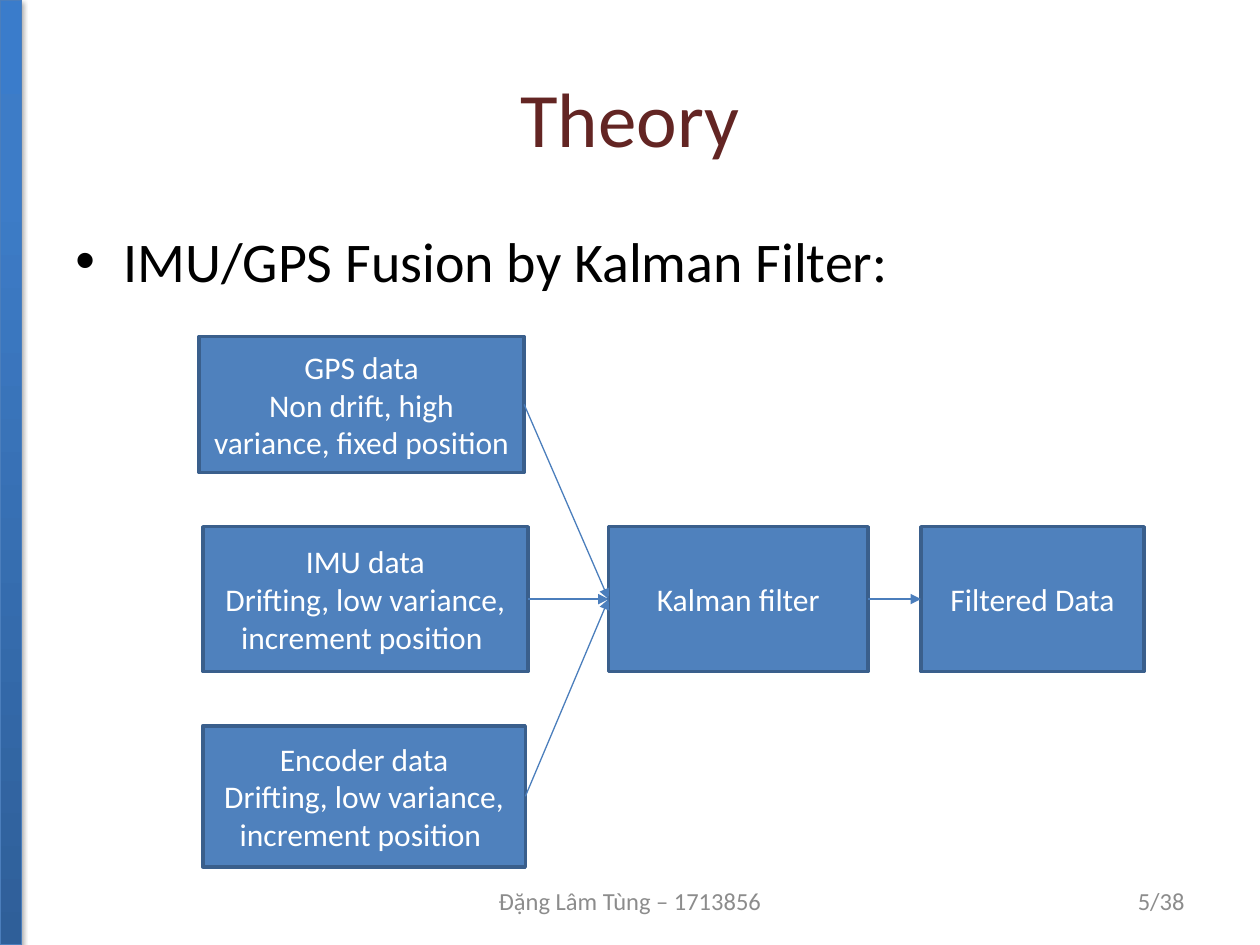
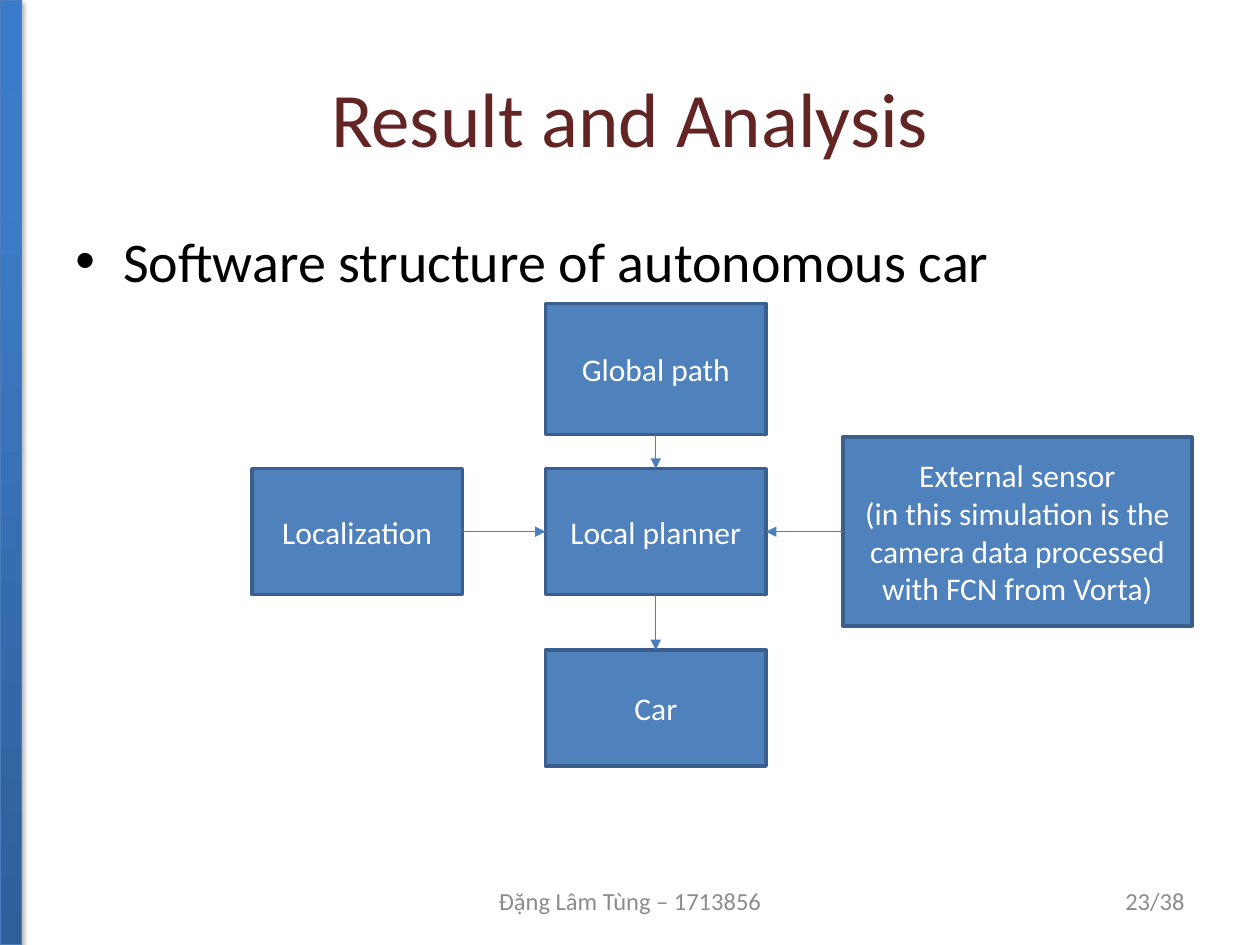
from copy import deepcopy

from lxml import etree
from pptx import Presentation
from pptx.dml.color import RGBColor
from pptx.enum.shapes import MSO_CONNECTOR, MSO_SHAPE
from pptx.enum.text import MSO_ANCHOR, PP_ALIGN
from pptx.oxml.ns import qn
from pptx.util import Inches, Pt

RECTANGLE, STRAIGHT = MSO_SHAPE.RECTANGLE, MSO_CONNECTOR.STRAIGHT
LEFT, CENTER, RIGHT = PP_ALIGN.LEFT, PP_ALIGN.CENTER, PP_ALIGN.RIGHT
TOP, MIDDLE = MSO_ANCHOR.TOP, MSO_ANCHOR.MIDDLE

FONT = "Calibri"
TITLE_RED = RGBColor(0x63, 0x25, 0x23)
BLACK = RGBColor(0, 0, 0)
WHITE = RGBColor(0xFF, 0xFF, 0xFF)
FOOTER_GREY = RGBColor(0x8C, 0x8C, 0x8C)
BOX_BLUE = RGBColor(0x4F, 0x81, 0xBD)
BOX_EDGE = RGBColor(0x3A, 0x5F, 0x8C)
LINE_BLUE = RGBColor(0x4B, 0x7E, 0xBC)
BAND_STOPS = [
    (0, RGBColor(0x2F, 0x5F, 0x99)),
    (0.8, RGBColor(0x3D, 0x7C, 0xC7)),
    (1, RGBColor(0x3A, 0x7C, 0xCB)),
]

AUTHOR = "Đặng Lâm Tùng – 1713856"
PAGE_COUNT = 38

# Connection sites of a rectangle
TOP_SITE, LEFT_SITE, BOTTOM_SITE, RIGHT_SITE = range(4)


def inches(box):
    return [Inches(length) for length in box]


def write(frame, lines, size, color, align, anchor):
    frame.word_wrap = True
    frame.vertical_anchor = anchor
    for number, line in enumerate(lines):
        paragraph = frame.add_paragraph() if number else frame.paragraphs[0]
        paragraph.alignment = align
        run = paragraph.add_run()
        run.text = line
        run.font.name = FONT
        run.font.size = Pt(size)
        run.font.color.rgb = color


def add_text(slide, box, line, size, color, align, anchor=MIDDLE):
    frame = slide.shapes.add_textbox(*inches(box)).text_frame
    write(frame, [line], size, color, align, anchor)
    return frame.paragraphs[0]


def add_side_band(slide, box):
    band = slide.shapes.add_shape(RECTANGLE, *inches(box))
    band.line.color.rgb = LINE_BLUE
    band.line.width = Pt(0.75)

    # Gradient running from the bottom to the top
    band.fill.gradient()
    band.fill.gradient_angle = 90
    properties = band.element.spPr
    stop_list = properties.find(qn("a:gradFill")).find(qn("a:gsLst"))
    stop_list.insert(1, deepcopy(stop_list[0]))
    for stop, (position, color) in zip(band.fill.gradient_stops, BAND_STOPS):
        stop.position = position
        stop.color.rgb = color

    # Soft shadow
    band.shadow.inherit = False
    shadow = etree.SubElement(
        properties.find(qn("a:effectLst")), qn("a:outerShdw"),
        blurRad=str(Pt(3.1)), dist=str(Pt(1.8)), dir="5400000", rotWithShape="0")
    shade = etree.SubElement(shadow, qn("a:srgbClr"), val="000000")
    etree.SubElement(shade, qn("a:alpha"), val="35000")


def add_bullet(slide, box, line):
    paragraph = add_text(slide, box, line, 32, BLACK, LEFT, TOP)
    settings = paragraph._p.get_or_add_pPr()
    settings.set("marL", str(Inches(0.38)))
    settings.set("indent", str(Inches(-0.38)))
    etree.SubElement(settings, qn("a:buFont"), typeface="Arial")
    etree.SubElement(settings, qn("a:buChar"), char="•")


def add_footer(slide, box, page):
    left, top, width, height = box
    add_text(slide, (left + width - 2.33, top, 2.33, height),
             f"{page}/{PAGE_COUNT}", 14, FOOTER_GREY, RIGHT)
    add_text(slide, (left + (width - 3.17) / 2, top, 3.17, height),
             AUTHOR, 14, FOOTER_GREY, CENTER)


def add_page(deck, title, bullet, page):
    slide = deck.slides.add_slide(deck.slide_layouts[6])
    add_side_band(slide, (0, 0, 0.17, 7.5))
    add_text(slide, (0.5, 0.3, 9, 1.25), title, 44, TITLE_RED, CENTER)
    add_bullet(slide, (0.5, 1.75, 9, 4.95), bullet)
    add_footer(slide, (0.5, 6.95, 9, 0.4), page)
    return slide


def add_block(slide, box, *lines):
    block = slide.shapes.add_shape(RECTANGLE, *inches(box))
    block.shadow.inherit = False
    block.fill.solid()
    block.fill.fore_color.rgb = BOX_BLUE
    block.line.color.rgb = BOX_EDGE
    block.line.width = Pt(2)
    write(block.text_frame, lines, 18, WHITE, CENTER, MIDDLE)
    return block


def add_arrow(slide, source, source_site, target, target_site):
    arrow = slide.shapes.add_connector(STRAIGHT, 0, 0, 0, 0)
    arrow.begin_connect(source, source_site)
    arrow.end_connect(target, target_site)
    arrow.line.color.rgb = LINE_BLUE
    arrow.line.width = Pt(0.75)
    properties = arrow.element.spPr
    etree.SubElement(properties.find(qn("a:ln")), qn("a:tailEnd"), type="triangle")
    etree.SubElement(properties, qn("a:effectLst"))


def add_fusion_diagram(slide, box):
    left, top, _, _ = box
    row = top + 1.51  # the middle row holds the filter chain

    # Sensor inputs
    drift = "Drifting, low variance, increment position "
    sensors = [
        add_block(slide, (left, top, 2.58, 1.08),
                  "GPS data", "Non drift, high variance, fixed position"),
        add_block(slide, (left + 0.03, row, 2.58, 1.15), "IMU data", drift),
        add_block(slide, (left + 0.03, top + 3.09, 2.56, 1.12),
                  "Encoder data", drift),
    ]

    # Filter and its output
    kalman = add_block(slide, (left + 3.25, row, 2.06, 1.15), "Kalman filter")
    filtered = add_block(slide, (left + 5.73, row, 1.77, 1.15), "Filtered Data")
    for sensor in sensors:
        add_arrow(slide, sensor, RIGHT_SITE, kalman, LEFT_SITE)
    add_arrow(slide, kalman, RIGHT_SITE, filtered, LEFT_SITE)


def add_software_diagram(slide, box):
    left, top, width, _ = box
    column = left + 2.33
    row = top + 1.31

    # Horizontal inputs
    localization = add_block(slide, (left, row, 1.67, 1), "Localization")
    sensor = add_block(
        slide, (left + width - 2.77, row - 0.25, 2.77, 1.5), "External sensor",
        "(in this simulation is the camera data processed with FCN from Vorta)")

    # Central column
    global_path = add_block(slide, (column, top, 1.75, 1.04), "Global path")
    planner = add_block(slide, (column, row, 1.75, 1), "Local planner")
    car = add_block(slide, (column, top + 2.75, 1.75, 0.92), "Car")

    add_arrow(slide, localization, RIGHT_SITE, planner, LEFT_SITE)
    add_arrow(slide, sensor, LEFT_SITE, planner, RIGHT_SITE)
    add_arrow(slide, global_path, BOTTOM_SITE, planner, TOP_SITE)
    add_arrow(slide, planner, BOTTOM_SITE, car, TOP_SITE)


def main():
    deck = Presentation()
    deck.slide_width, deck.slide_height = Inches(10), Inches(7.5)

    theory = add_page(deck, "Theory", "IMU/GPS Fusion by Kalman Filter:", 5)
    add_fusion_diagram(theory, (1.58, 2.67, 7.5, 4.21))

    result = add_page(deck, "Result and Analysis",
                      "Software structure of autonomous car", 23)
    add_software_diagram(result, (2, 2.41, 7.46, 3.67))

    deck.save("out.pptx")


if __name__ == "__main__":
    main()
